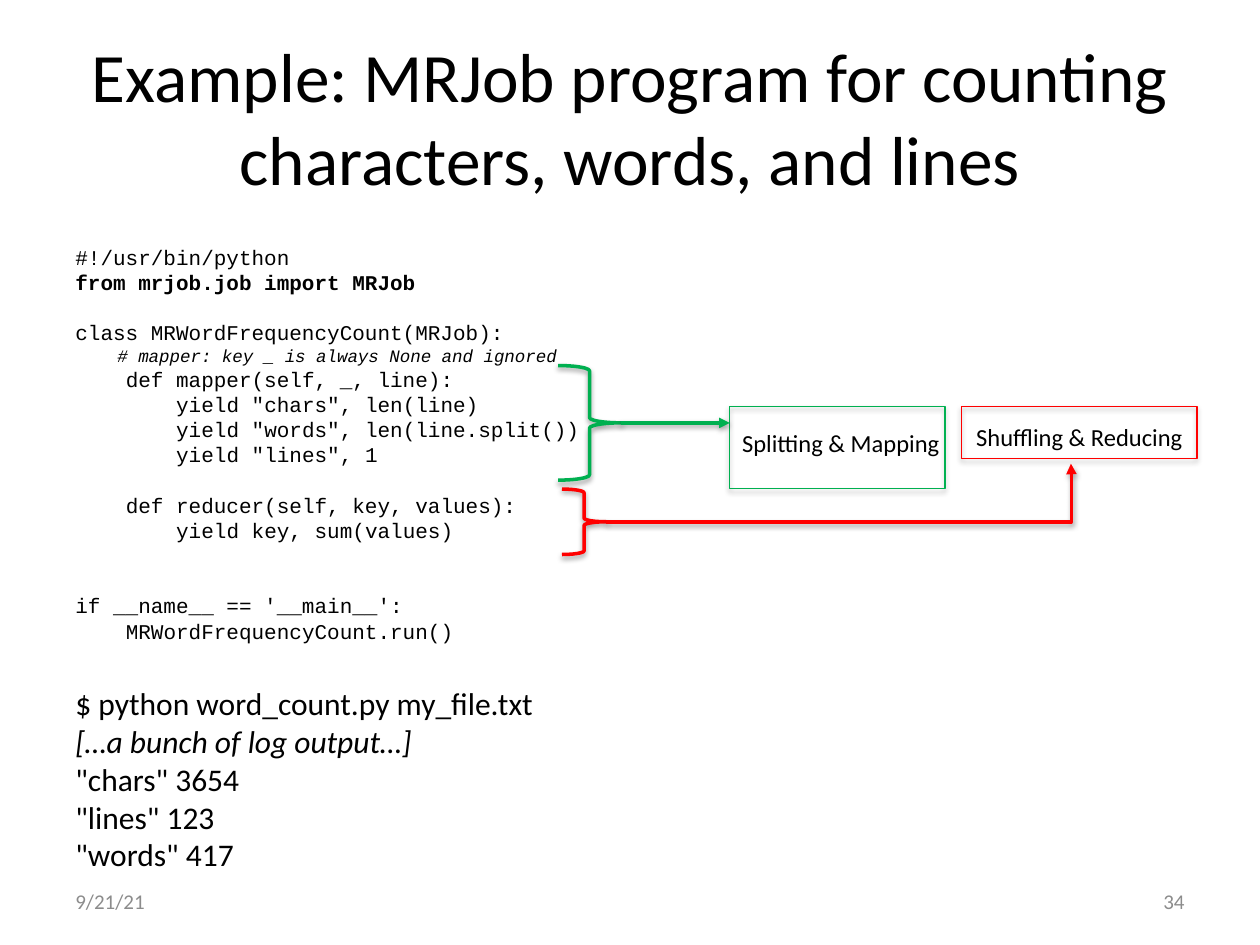
from collections import namedtuple

from lxml.etree import SubElement
from pptx import Presentation
from pptx.dml.color import RGBColor
from pptx.enum.shapes import MSO_CONNECTOR, MSO_SHAPE
from pptx.enum.text import MSO_ANCHOR, MSO_AUTO_SIZE, PP_ALIGN
from pptx.oxml.ns import qn
from pptx.util import Cm, Pt

BLACK = RGBColor(0x00, 0x00, 0x00)
GREY = RGBColor(0x8C, 0x8C, 0x8C)
GREEN = RGBColor(0x00, 0xB0, 0x50)
RED = RGBColor(0xFF, 0x00, 0x00)
PROSE, MONO = "Calibri", "Courier New"
CODE_PITCH = 14.4  # points from one code line to the next

Box = namedtuple("Box", "left top width height")  # centimetres

# Text, indent level, blank lines above, style
CODE = [
    ("#!/usr/bin/python", 0, 0, ""),
    ("from mrjob.job import MRJob", 0, 0, "bold"),
    ("class MRWordFrequencyCount(MRJob):", 0, 1, ""),
    ("# mapper: key _ is always None and ignored", 1, 0, "comment"),
    ("def mapper(self, _, line):", 1, 0, ""),
    ('yield "chars", len(line)', 2, 0, ""),
    ('yield "words", len(line.split())', 2, 0, ""),
    ('yield "lines", 1', 2, 0, ""),
    ("def reducer(self, key, values):", 1, 1, ""),
    ("yield key, sum(values)", 2, 0, ""),
    ("if __name__ == '__main__':", 0, 2, ""),
    ("MRWordFrequencyCount.run()", 1, 0, ""),
]
OUTPUT = [
    "$ python word_count.py my_file.txt",
    "[…a bunch of log output…]",
    '"chars" 3654',
    '"lines" 123',
    '"words" 417',
]


def in_cm(box):
    return [Cm(length) for length in box]


def add_run(paragraph, text, size, font=PROSE, color=BLACK, bold=False, italic=False):
    run = paragraph.add_run()
    run.text = text
    run.font.name = font
    run.font.size = Pt(size)
    run.font.color.rgb = color
    run.font.bold = bold
    run.font.italic = italic


def add_text_frame(slide, box, wrap=True, grow=False):
    frame = slide.shapes.add_textbox(*in_cm(box)).text_frame
    frame.word_wrap = wrap
    frame.auto_size = MSO_AUTO_SIZE.SHAPE_TO_FIT_TEXT if grow else MSO_AUTO_SIZE.NONE
    return frame


def paragraph_at(frame, index):
    return frame.add_paragraph() if index else frame.paragraphs[0]


def add_shadow(part, opacity, distance):
    properties = part._element.spPr
    effects = properties.find(qn("a:effectLst"))
    if effects is None:
        effects = SubElement(properties, qn("a:effectLst"))
    shadow = SubElement(effects, qn("a:outerShdw"), blurRad=str(Pt(3.1)),
                        dist=str(Pt(distance)), dir="5400000", rotWithShape="0")
    black = SubElement(shadow, qn("a:srgbClr"), val="000000")
    SubElement(black, qn("a:alpha"), val=str(opacity * 1000))


def add_outline(slide, preset, box, color, width, opacity, distance):
    outline = slide.shapes.add_shape(preset, *in_cm(box))
    outline.fill.background()
    outline.line.color.rgb = color
    outline.line.width = Pt(width)
    outline.shadow.inherit = False
    add_shadow(outline, opacity, distance)


def add_arrow(slide, kind, start, end, color):
    arrow = slide.shapes.add_connector(kind, *in_cm(start + end))
    arrow.line.color.rgb = color
    arrow.line.width = Pt(2)
    SubElement(arrow.line._get_or_add_ln(), qn("a:tailEnd"), type="triangle")
    add_shadow(arrow, 38, 1.6)
    return arrow


def place_title(slide, box):
    title = slide.shapes.title
    title.left, title.top, title.width, title.height = in_cm(box)
    frame = title.text_frame
    frame.auto_size = MSO_AUTO_SIZE.NONE
    frame.vertical_anchor = MSO_ANCHOR.MIDDLE
    heading = frame.paragraphs[0]
    heading.alignment = PP_ALIGN.CENTER
    add_run(heading, "Example: MRJob program for counting characters, words, and lines", 39.6)


def place_code(slide, box):
    frame = add_text_frame(slide, box, grow=True)
    for index, (text, level, blanks, style) in enumerate(CODE):
        comment = style == "comment"
        size = 10 if comment else 12
        line = paragraph_at(frame, index)
        line.line_spacing = Pt(size * 1.2)
        line.space_before = Pt(blanks * CODE_PITCH)
        # Four characters to a level, each 0.6 of the font size wide
        line._p.get_or_add_pPr().set("marL", str(Pt(level * 4 * 0.6 * size)))
        add_run(line, text, size, MONO, bold=style == "bold", italic=comment)


def place_output(slide, box):
    frame = add_text_frame(slide, box, wrap=False, grow=True)
    for index, text in enumerate(OUTPUT):
        add_run(paragraph_at(frame, index), text, 18, italic=text.startswith("["))


def place_phase(slide, brace, stage, color, label, label_offset):
    """Brace beside the code and the framed name of its phase."""
    add_outline(slide, MSO_SHAPE.RIGHT_BRACE, brace, color, 2, 38, 1.6)
    add_outline(slide, MSO_SHAPE.RECTANGLE, stage, color, 0.75, 35, 1.8)
    dx, dy, width = label_offset
    name_box = Box(stage.left + dx, stage.top + dy, width, 0.86)
    frame = add_text_frame(slide, name_box, wrap=False, grow=True)
    add_run(frame.paragraphs[0], label, 14)


def brace_tip(brace):
    return brace.left + brace.width, brace.top + brace.height / 2


def place_phases(slide, box):
    left, top = box.left, box.top
    map_brace = Box(left, top, 1.27, 2.31)
    map_stage = Box(left + 3.46, top + 0.83, 4.34, 1.65)
    reduce_brace = Box(left + 0.08, top + 2.49, 0.89, 1.32)
    reduce_stage = Box(left + 8.13, top + 0.83, 4.75, 1.04)
    place_phase(slide, map_brace, map_stage, GREEN, "Splitting & Mapping", (0, 0.31, 4.55))
    place_phase(slide, reduce_brace, reduce_stage, RED, "Shuffling & Reducing", (0.05, 0.18, 4.72))

    # Straight from the mapper to its stage
    map_tip = brace_tip(map_brace)
    add_arrow(slide, MSO_CONNECTOR.STRAIGHT, map_tip, (map_stage.left, map_tip[1]), GREEN)

    # Across and then up from the reducer to its stage
    below_stage = (left + 10.34, top + 1.98)
    elbow = add_arrow(slide, MSO_CONNECTOR.ELBOW, brace_tip(reduce_brace), below_stage, RED)
    bend = elbow._element.spPr.find(qn("a:prstGeom")).get_or_add_avLst()
    SubElement(bend, qn("a:gd"), name="adj1", fmla="val 100100")


def place_footer(slide, box):
    width = 5.92
    right_edge = box.left + box.width
    for text, left, alignment in (("9/21/21", box.left, PP_ALIGN.LEFT),
                                  ("34", right_edge - width, PP_ALIGN.RIGHT)):
        frame = add_text_frame(slide, Box(left, box.top, width, box.height))
        frame.vertical_anchor = MSO_ANCHOR.MIDDLE
        frame.paragraphs[0].alignment = alignment
        add_run(frame.paragraphs[0], text, 12, color=GREY)


def main():
    deck = Presentation()
    deck.slide_width, deck.slide_height = Cm(25.4), Cm(19.05)
    slide = deck.slides.add_slide(deck.slide_layouts[5])  # title only
    place_title(slide, Box(1.27, 0.76, 22.86, 3.18))
    place_code(slide, Box(1.27, 4.8, 19.76, 8.46))
    place_output(slide, Box(1.27, 13.67, 9.86, 4.11))
    place_phases(slide, Box(11.25, 7.37, 12.88, 3.81))
    place_footer(slide, Box(1.27, 17.65, 22.86, 1.02))
    deck.save("out.pptx")


if __name__ == "__main__":
    main()
